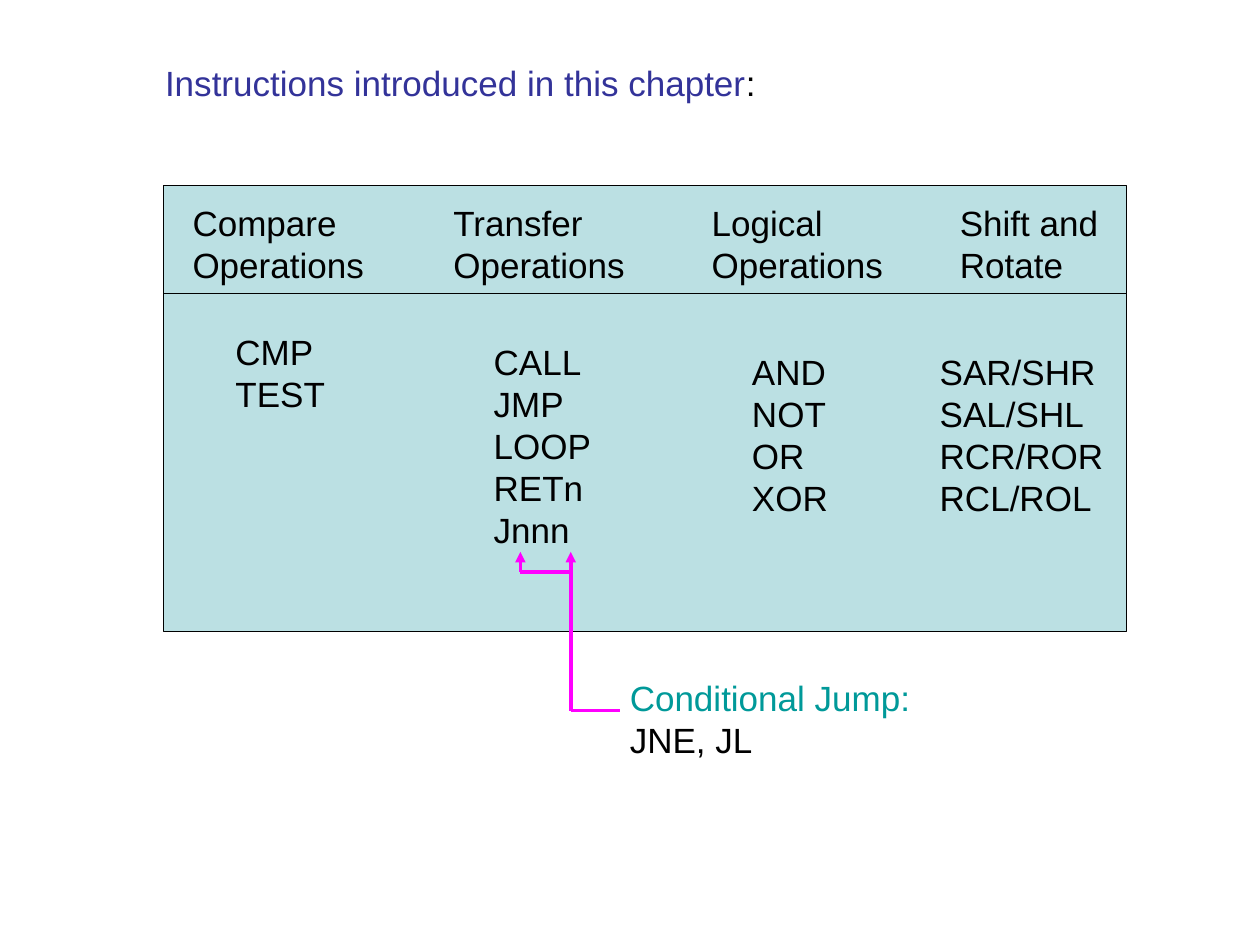
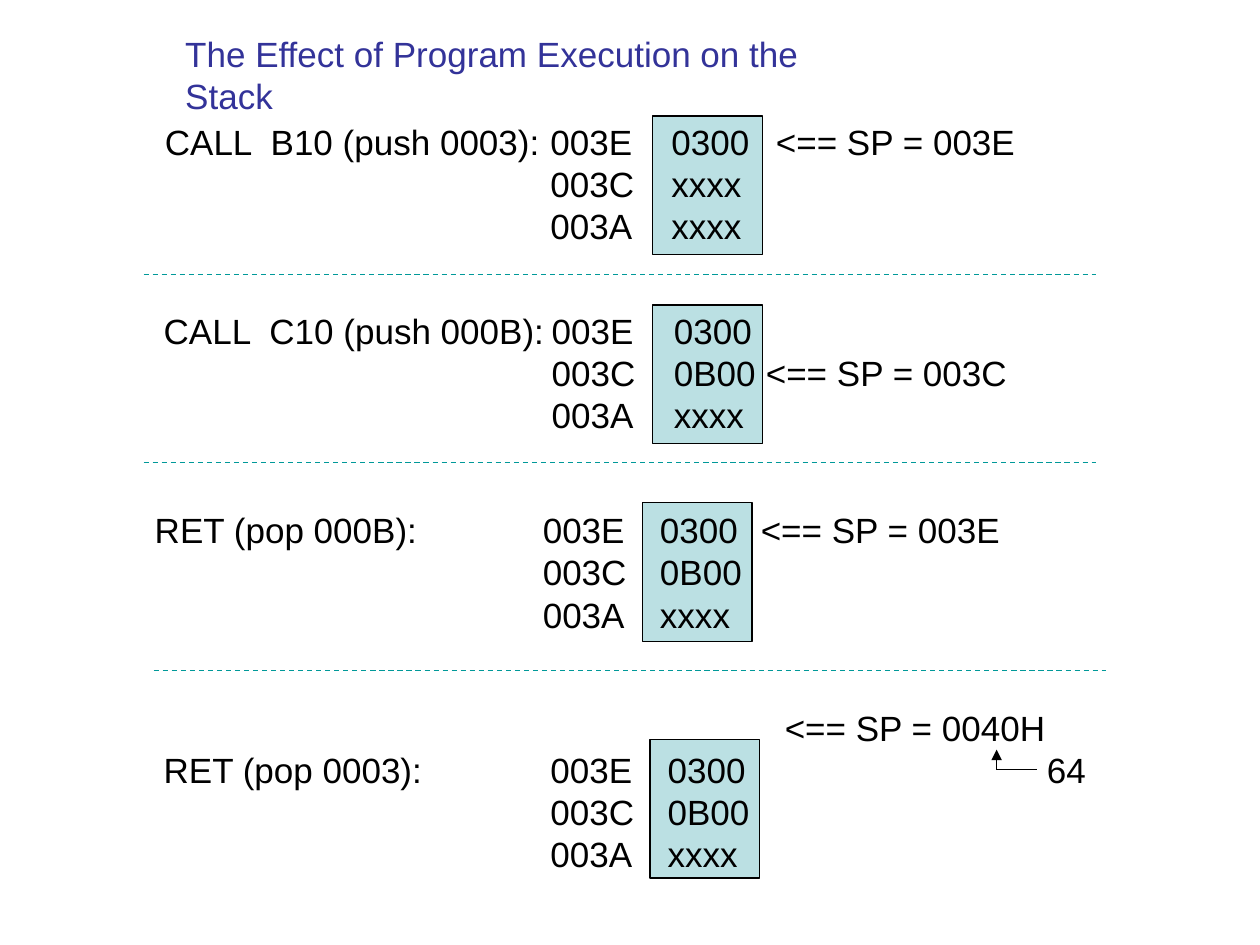
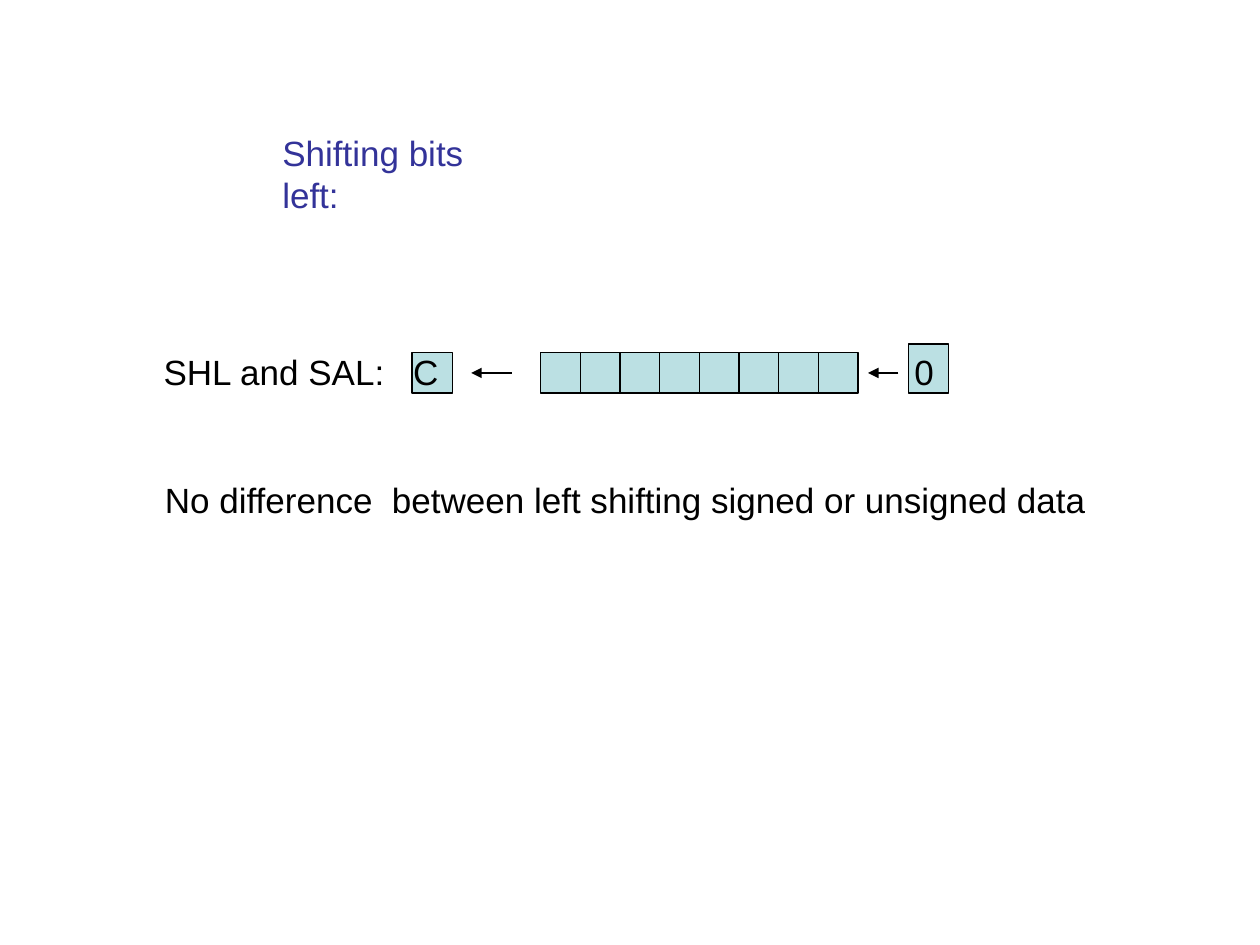
from dataclasses import dataclass
from typing import Optional

from lxml.etree import SubElement
from pptx import Presentation
from pptx.dml.color import RGBColor
from pptx.enum.dml import MSO_LINE
from pptx.enum.shapes import MSO_CONNECTOR, MSO_SHAPE
from pptx.enum.text import MSO_ANCHOR, MSO_AUTO_SIZE, PP_ALIGN
from pptx.oxml.ns import qn
from pptx.util import Inches, Pt

BLUE, BLACK, TEAL, MAGENTA, PALE = "333399", "000000", "009999", "FF00FF", "BBE0E3"
INSET = 0.1
LINE_HEIGHT = 0.33
FONT_FORMAT = {"name": "Arial", "size": Pt(20), "bold": False}
FRAME_FORMAT = {
    "margin_left": Inches(INSET),
    "margin_right": Inches(INSET),
    "margin_top": Inches(0.05),
    "margin_bottom": Inches(0.05),
    "vertical_anchor": MSO_ANCHOR.TOP,
    "auto_size": MSO_AUTO_SIZE.NONE,
}


@dataclass(frozen=True)
class Span:
    text: str
    color: str = BLACK


@dataclass(frozen=True)
class Area:
    left: float
    top: float
    width: float
    height: float

    def lengths(self):
        return [Inches(side) for side in (self.left, self.top, self.width, self.height)]


@dataclass(frozen=True)
class Stroke:
    start: tuple[float, float]
    end: tuple[float, float]
    color: str = BLACK
    points: float = 0.75
    arrow: bool = False
    dashed: bool = False


@dataclass(frozen=True)
class Operation:
    heading: tuple[str, str]
    heading_left: float
    heading_width: float
    names: tuple[str, ...]
    names_left: float
    names_top: float
    names_width: float


@dataclass(frozen=True)
class Stack:
    cells: Area
    text_left: float
    text_top: float
    text_width: float
    stops: tuple[float, ...]
    rows: tuple[str, ...]


OPERATIONS = (
    Operation(("Compare", "Operations"), 1.43, 1.56, ("CMP", "TEST"), 1.77, 2.57, 0.91),
    Operation(("Transfer", "Operations"), 3.5, 1.56,
              ("CALL", "JMP", "LOOP", "RETn", "Jnnn"), 3.82, 2.65, 0.97),
    Operation(("Logical", "Operations"), 5.55, 1.56,
              ("AND", "NOT", "OR", "XOR"), 5.87, 2.73, 0.8),
    Operation(("Shift and", "Rotate"), 7.52, 1.3,
              ("SAR/SHR", "SAL/SHL", "RCR/ROR", "RCL/ROL"), 7.36, 2.73, 1.5),
)
STACKS = (
    Stack(Area(5.18, 0.92, 0.87, 1.1), 1.21, 0.91, 6.98, (4.37, 5.33, 6.16), (
        "CALL  B10 (push 0003):\t003E\t0300\t<== SP = 003E",
        "\t003C\txxxx",
        "\t003A\txxxx")),
    Stack(Area(5.18, 2.42, 0.87, 1.1), 1.2, 2.41, 6.99, (4.38, 5.35, 6.08), (
        "CALL  C10 (push 000B):\t003E\t0300",
        "\t003C\t0B00\t<== SP = 003C",
        "\t003A\txxxx")),
    Stack(Area(5.1, 3.99, 0.87, 1.1), 1.13, 3.99, 6.93, (4.31, 5.24, 6.04), (
        "RET (pop 000B):\t003E\t0300\t<== SP = 003E",
        "\t003C\t0B00",
        "\t003A\txxxx")),
    Stack(Area(5.16, 5.87, 0.87, 1.1), 1.2, 5.56, 7.55, (4.37, 5.3, 6.23, 8.31), (
        "\t\t\t<== SP = 0040H",
        "RET (pop 0003):\t003E\t0300\t\t64",
        "\t003C\t0B00",
        "\t003A\txxxx")),
)


def rgb(color: str) -> RGBColor:
    return RGBColor.from_string(color)


def apply_format(target, values: dict) -> None:
    for name, value in values.items():
        setattr(target, name, value)


def write_text(box, lines: list[list[Span]], stops: tuple[float, ...] = ()) -> None:
    frame = box.text_frame
    apply_format(frame, FRAME_FORMAT)
    frame.word_wrap = bool(stops)
    for index, spans in enumerate(lines):
        paragraph = frame.paragraphs[0] if index == 0 else frame.add_paragraph()
        paragraph.alignment = PP_ALIGN.LEFT
        if stops:
            tab_list = SubElement(paragraph._p.get_or_add_pPr(), qn("a:tabLst"))
            for stop in stops:
                SubElement(tab_list, qn("a:tab"), pos=str(Inches(stop)), algn="l")
        for span in spans:
            run = paragraph.add_run()
            run.text = span.text
            apply_format(run.font, FONT_FORMAT)
            run.font.color.rgb = rgb(span.color)


def add_text(page, left: float, top: float, width: float, lines: list[Span],
             columns: tuple[float, ...] = ()) -> None:
    area = Area(left, top, width, len(lines) * LINE_HEIGHT + 0.1)
    box = page.shapes.add_textbox(*area.lengths())
    stops = tuple(column - left - INSET for column in columns)
    write_text(box, [[span] for span in lines], stops)


def add_titled_page(deck, left: float, top: float, width: float, *spans: Span):
    page = deck.slides.add_slide(deck.slide_layouts[5])
    title = page.shapes.title
    placement = Area(left, top, width, 0.44).lengths()
    apply_format(title, dict(zip(("left", "top", "width", "height"), placement)))
    write_text(title, [list(spans)])
    return page


def add_panel(page, area: Area):
    panel = page.shapes.add_shape(MSO_SHAPE.RECTANGLE, *area.lengths())
    panel.shadow.inherit = False
    panel.fill.solid()
    panel.fill.fore_color.rgb = rgb(PALE)
    panel.line.color.rgb = rgb(BLACK)
    panel.line.width = Pt(0.75)
    return panel


def add_stroke(page, stroke: Stroke, crossed: Optional[object] = None) -> None:
    ends = [Inches(value) for value in (*stroke.start, *stroke.end)]
    connector = page.shapes.add_connector(MSO_CONNECTOR.STRAIGHT, *ends)
    if crossed is not None:
        connector.begin_connect(crossed, 0)
        connector.end_connect(crossed, 2)
    connector.line.color.rgb = rgb(stroke.color)
    connector.line.width = Pt(stroke.points)
    if stroke.dashed:
        connector.line.dash_style = MSO_LINE.DASH
    if stroke.arrow:
        SubElement(connector.line._get_or_add_ln(), qn("a:tailEnd"), type="triangle")
    SubElement(connector._element.spPr, qn("a:effectLst"))


def build_instructions(deck) -> None:
    page = add_titled_page(deck, 1.21, 0.44, 4.89,
                           Span("Instructions introduced in this chapter", BLUE), Span(":"))
    for top, height in ((1.47, 0.87), (2.33, 2.68)):
        add_panel(page, Area(1.3, top, 7.64, height))
    for operation in OPERATIONS:
        add_text(page, operation.heading_left, 1.55, operation.heading_width,
                 [Span(word) for word in operation.heading])
        add_text(page, operation.names_left, operation.names_top, operation.names_width,
                 [Span(name) for name in operation.names])
    first, second, tip, bend, foot = 4.13, 4.53, 4.38, 4.54, 5.64
    for start, end, arrow in (
        ((first, bend), (second, bend), False),
        ((first, bend), (first, tip), True),
        ((second, bend), (second, tip), True),
        ((second, bend), (second, foot), False),
        ((4.92, foot), (second, foot), False),
    ):
        add_stroke(page, Stroke(start, end, MAGENTA, 2, arrow))
    add_text(page, 4.9, 5.32, 2.43, [Span("Conditional Jump:", TEAL), Span("JNE, JL")])


def build_stack_effect(deck) -> None:
    page = add_titled_page(deck, 1.37, 0.21, 5.84,
                           Span("The Effect of Program Execution on the Stack", BLUE))
    for stack in STACKS:
        add_panel(page, stack.cells)
        add_text(page, stack.text_left, stack.text_top, stack.text_width,
                 [Span(row) for row in stack.rows], stack.stops)
    for left, top in ((1.14, 2.18), (1.14, 3.67), (1.22, 5.32)):
        add_stroke(page, Stroke((left, top), (left + 7.56, top), TEAL, dashed=True))
    add_stroke(page, Stroke((7.91, 6.11), (7.91, 5.95), arrow=True))
    add_stroke(page, Stroke((8.23, 6.11), (7.91, 6.11)))


def build_shift_left(deck) -> None:
    page = add_titled_page(deck, 2.14, 0.99, 2.16, Span("Shifting bits left:", BLUE))
    add_panel(page, Area(7.21, 2.73, 0.32, 0.39))
    add_panel(page, Area(3.27, 2.8, 0.32, 0.32))
    add_text(page, 1.2, 2.73, 6.34, [Span("SHL and SAL:\tC\t0")], (3.28, 7.26))
    register = Area(4.29, 2.8, 2.52, 0.32)
    panel = add_panel(page, register)
    bits = 8
    for bit in range(1, bits):
        x = register.left + bit * register.width / bits
        divider = Stroke((x, register.top), (x, register.top + register.height))
        add_stroke(page, divider, panel if bit * 2 == bits else None)
    for start, end in ((4.06, 3.74), (7.13, 6.89)):
        add_stroke(page, Stroke((start, 2.96), (end, 2.96), arrow=True))
    add_text(page, 1.21, 3.75, 7.52,
             [Span("No difference  between left shifting signed or unsigned data")])


def main() -> None:
    deck = Presentation()
    deck.slide_width, deck.slide_height = Inches(10), Inches(7.5)
    build_instructions(deck)
    build_stack_effect(deck)
    build_shift_left(deck)
    deck.save("out.pptx")


if __name__ == "__main__":
    main()
